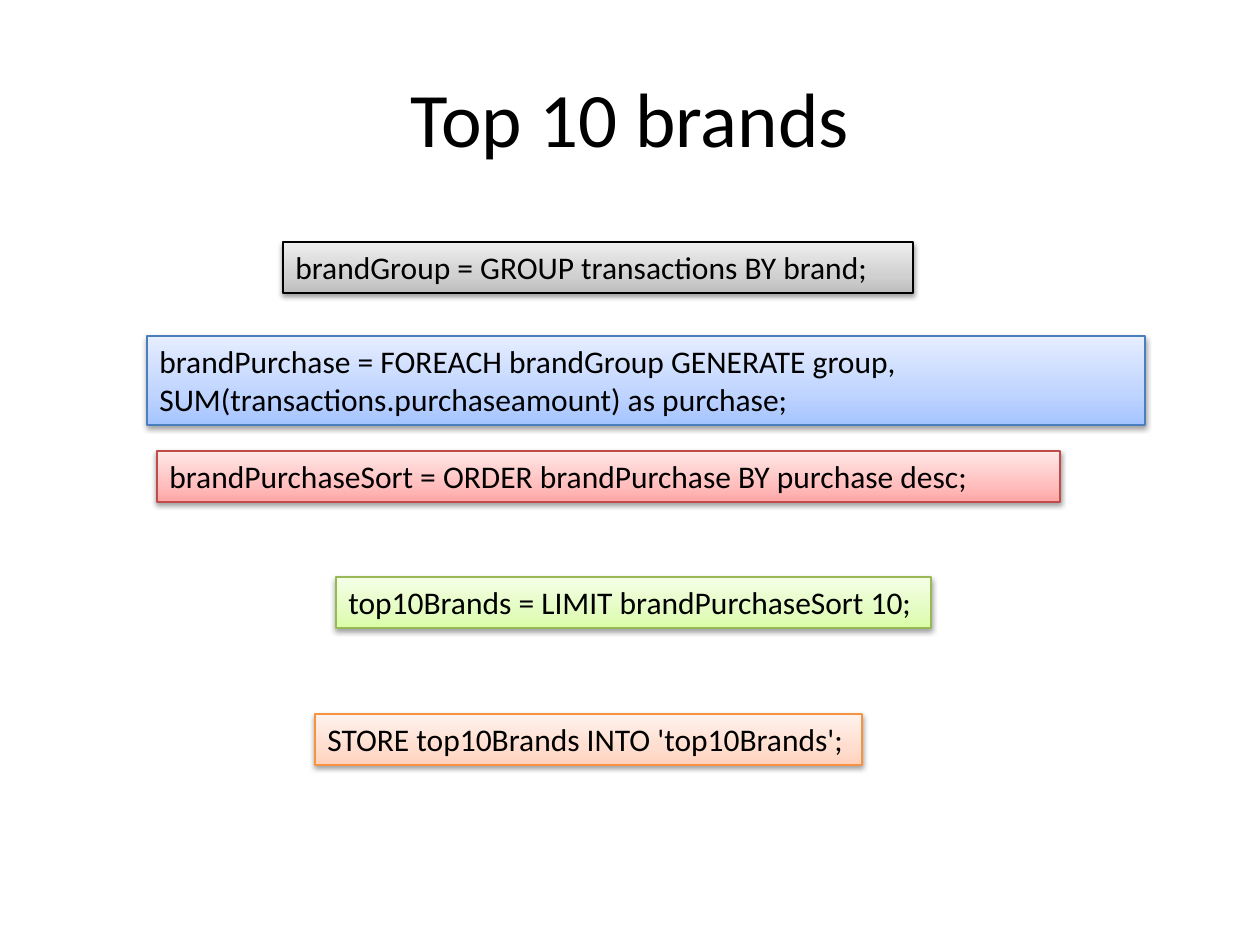
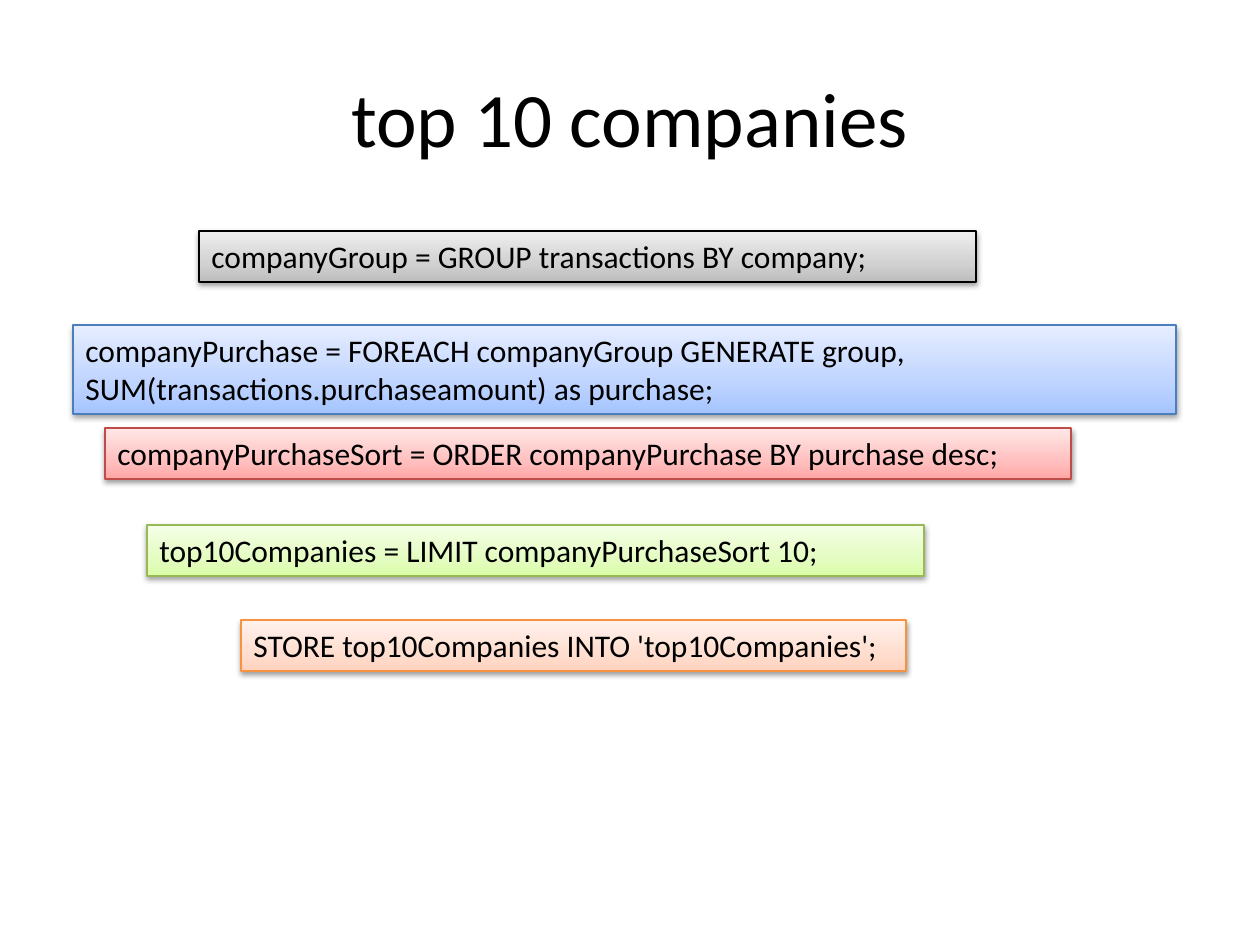
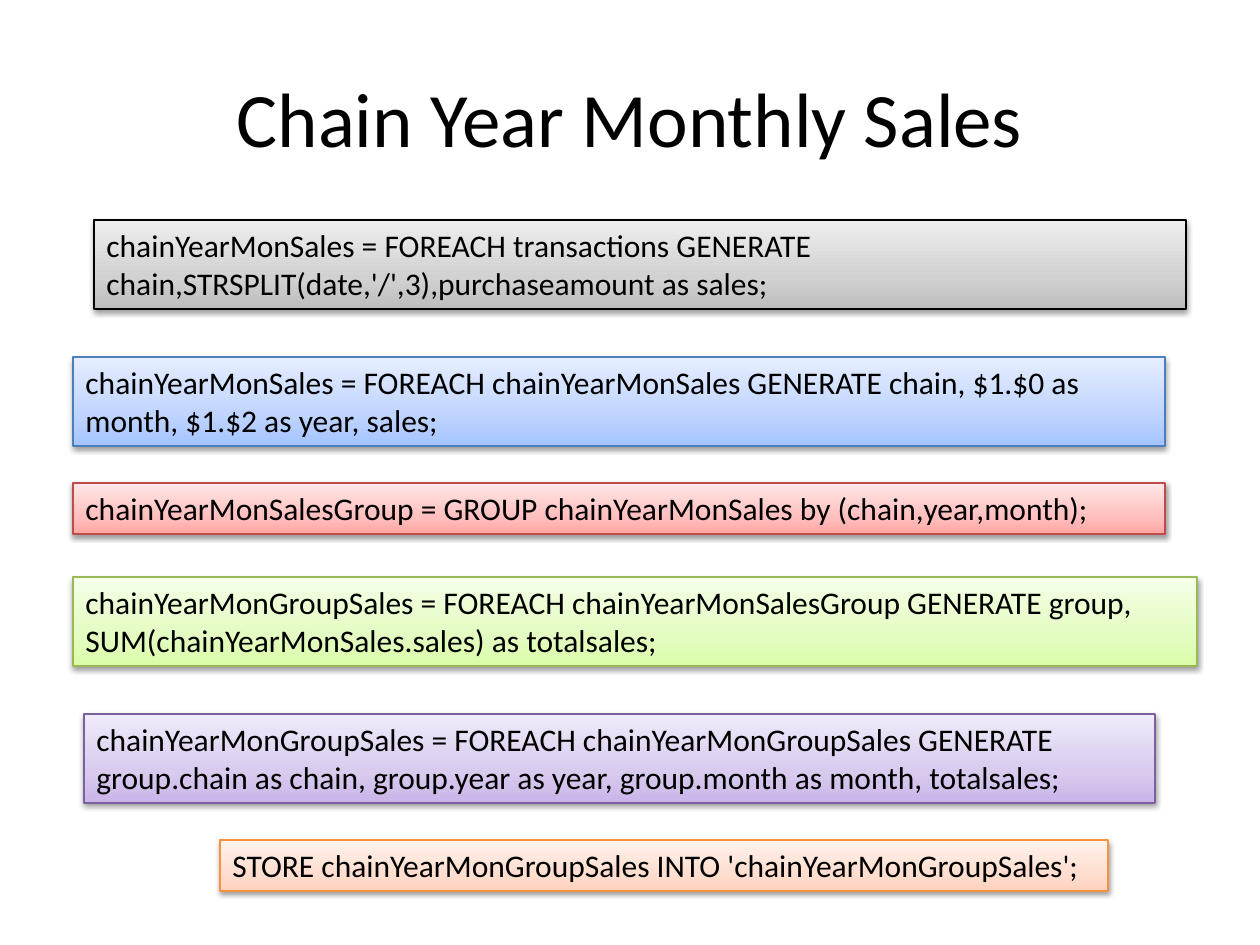
import dataclasses

import lxml.etree
import pptx
import pptx.dml.color
import pptx.enum.shapes
import pptx.enum.text
import pptx.oxml
import pptx.oxml.ns
import pptx.util

PX = 914400 / 126
ONE, TWO = 51, 89  # box heights for one and two lines of code


@dataclasses.dataclass(frozen=True)
class Theme:
    font: str = "Calibri"
    ink: str = "000000"
    head: int = 44
    code: int = 18
    edge: float = 0.75
    stops: tuple = (0, 0.35, 1)
    # outline, then the fill from bottom to top
    tints: dict = dataclasses.field(default_factory=lambda: {
        "grey": ("000000", "BDBDBD", "D1D1D1", "EEEEEE"),
        "blue": ("4B7EBC", "A4C4FF", "BFD4FF", "E6EEFF"),
        "red": ("BF4C48", "FFA6A5", "FFC0BF", "FFE7E7"),
        "green": ("98B955", "DAFDA7", "E4FCC2", "F5FFE7"),
        "plum": ("7D60A0", "C9B5E8", "D8CBEE", "F0EAF9"),
        "peach": ("F69240", "FFD2BD", "FFDED0", "FFF2ED"),
    })


THEME = Theme()

# Each step: tint, left, top, width, height, wrap, code
SLIDES = {
    "Top 10 brands": [
        ("grey", 283, 242, 630, ONE, True,
         "brandGroup = GROUP transactions BY brand;"),
        ("blue", 147, 336, 998, TWO, True,
         "brandPurchase = FOREACH brandGroup GENERATE group, "
         "SUM(transactions.purchaseamount) as purchase;"),
        ("red", 157, 451, 903, ONE, True,
         "brandPurchaseSort = ORDER brandPurchase BY purchase desc;"),
        ("green", 336, 577, 595, ONE, False,
         "top10Brands = LIMIT brandPurchaseSort 10;"),
        ("peach", 315, 714, 547, ONE, False,
         "STORE top10Brands INTO 'top10Brands';"),
    ],
    "top 10 companies": [
        ("grey", 199, 231, 777, ONE, True,
         "companyGroup = GROUP transactions BY company;"),
        ("blue", 73, 325, 1103, TWO, True,
         "companyPurchase = FOREACH companyGroup GENERATE group, "
         "SUM(transactions.purchaseamount) as purchase;"),
        ("red", 105, 428, 966, ONE, True,
         "companyPurchaseSort = ORDER companyPurchase BY purchase desc;"),
        ("green", 147, 525, 777, ONE, True,
         "top10Companies = LIMIT companyPurchaseSort 10;"),
        ("peach", 241, 620, 665, ONE, False,
         "STORE top10Companies INTO 'top10Companies';"),
    ],
    "Chain Year Monthly Sales": [
        ("peach", 220, 840, 888, ONE, False,
         "STORE chainYearMonGroupSales INTO 'chainYearMonGroupSales';"),
        ("grey", 94, 220, 1092, TWO, True,
         "chainYearMonSales = FOREACH transactions GENERATE "
         "chain,STRSPLIT(date,'/',3),purchaseamount as sales;"),
        ("blue", 73, 357, 1092, TWO, True,
         "chainYearMonSales = FOREACH chainYearMonSales GENERATE chain, "
         "$1.$0 as month, $1.$2 as year, sales;"),
        ("red", 73, 483, 1092, ONE, True,
         "chainYearMonSalesGroup = GROUP chainYearMonSales by (chain,year,month);"),
        ("green", 73, 577, 1124, TWO, True,
         "chainYearMonGroupSales = FOREACH chainYearMonSalesGroup GENERATE group, "
         "SUM(chainYearMonSales.sales) as totalsales;"),
        ("plum", 84, 714, 1071, TWO, True,
         "chainYearMonGroupSales = FOREACH chainYearMonGroupSales GENERATE "
         "group.chain as chain, group.year as year, group.month as month, totalsales;"),
    ],
}


def emu(px):
    return pptx.util.Emu(round(px * PX))


def rgb(code):
    return pptx.dml.color.RGBColor.from_string(code)


def put(item, form):
    """Set every attribute named in form."""
    for name, value in form.items():
        setattr(item, name, value)


def place(shape, *box):
    put(shape, dict(zip(("left", "top", "width", "height"), map(emu, box))))


def write(shape, text, size, align, anchor, **form):
    frame = shape.text_frame
    frame.text = text
    put(frame, {"vertical_anchor": anchor, **form})
    line = frame.paragraphs[0]
    line.alignment = align
    font = line.runs[0].font
    put(font, {"name": THEME.font, "size": pptx.util.Pt(size)})
    font.color.rgb = rgb(THEME.ink)


def shade(shape, tints):
    """Fill with three colours rising from the bottom edge."""
    fill = shape.fill
    fill.gradient()
    fill.gradient_angle = 90
    stops = shape._element.find(".//" + pptx.oxml.ns.qn("a:gsLst"))
    stops.clear()
    for spot, tint in zip(THEME.stops, tints):
        stop = lxml.etree.SubElement(
            stops, pptx.oxml.ns.qn("a:gs"), pos=str(round(spot * 100000)))
        lxml.etree.SubElement(stop, pptx.oxml.ns.qn("a:srgbClr"), val=tint)


def drop(shape):
    """Cast a soft shadow straight down."""
    shape.shadow.inherit = False
    glow = shape._element.spPr.find(pptx.oxml.ns.qn("a:effectLst"))
    glow.append(pptx.oxml.parse_xml(
        f'<a:outerShdw {pptx.oxml.ns.nsdecls("a")} blurRad="40000" dist="20000" '
        f'dir="5400000" rotWithShape="0"><a:srgbClr val="{THEME.ink}">'
        '<a:alpha val="38000"/></a:srgbClr></a:outerShdw>'))


def title(slide, text):
    head = slide.shapes.title
    place(head, 63, 38, 1134, 158)
    write(head, text, THEME.head, pptx.enum.text.PP_ALIGN.CENTER,
          pptx.enum.text.MSO_ANCHOR.MIDDLE)


def step(slide, tint, left, top, width, height, wrap, code):
    box = slide.shapes.add_shape(
        pptx.enum.shapes.MSO_SHAPE.RECTANGLE,
        *map(emu, (left, top, width, height)))
    edge, *tints = THEME.tints[tint]
    shade(box, tints)
    box.line.color.rgb = rgb(edge)
    box.line.width = pptx.util.Pt(THEME.edge)
    drop(box)
    write(box, code, THEME.code, pptx.enum.text.PP_ALIGN.LEFT,
          pptx.enum.text.MSO_ANCHOR.TOP, word_wrap=wrap,
          auto_size=pptx.enum.text.MSO_AUTO_SIZE.SHAPE_TO_FIT_TEXT)


def main():
    deck = pptx.Presentation()
    put(deck, {"slide_width": emu(1260), "slide_height": emu(945)})
    for name, steps in SLIDES.items():
        slide = deck.slides.add_slide(deck.slide_layouts.get_by_name("Title Only"))
        title(slide, name)
        for row in steps:
            step(slide, *row)
    deck.save("out.pptx")


if __name__ == "__main__":
    main()
